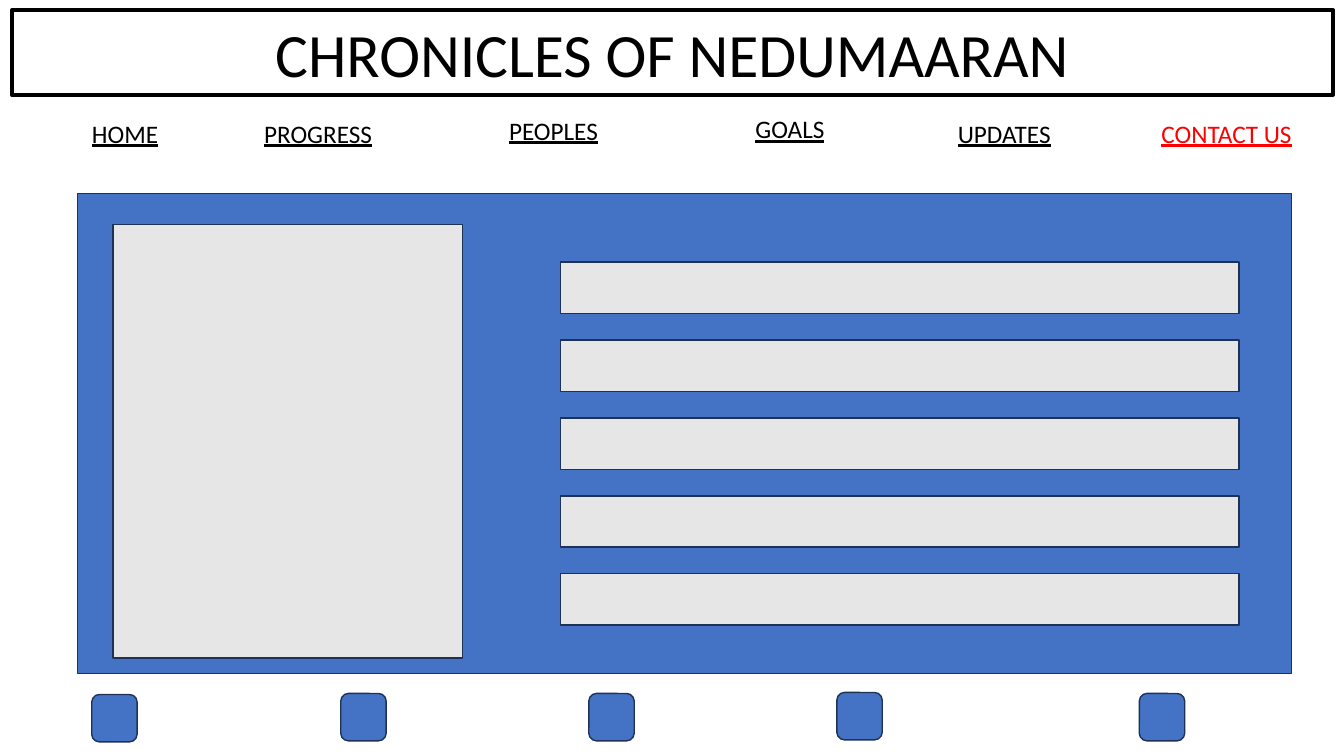
from dataclasses import dataclass

from pptx import Presentation
from pptx.dml.color import RGBColor
from pptx.enum.shapes import MSO_SHAPE
from pptx.enum.text import MSO_ANCHOR, PP_ALIGN
from pptx.shapes.autoshape import Shape
from pptx.slide import Slide
from pptx.util import Inches, Length, Pt

CELL = 0.1
BLACK, RED, BLUE, GREY, NAVY = "000000", "FF0000", "4472C4", "E7E6E6", "1E3256"


@dataclass(frozen=True)
class Box:
    """A place on the grid, in columns and rows."""
    col: float
    row: float
    wide: float
    high: float


@dataclass(frozen=True)
class Link:
    """A menu entry with its place and colour."""
    text: str
    box: Box
    color: str = BLACK


LINKS = [
    Link("HOME", Box(6.5, 11.2, 11.8, 4)),
    Link("PROGRESS", Box(24.8, 11.2, 13.5, 4)),
    Link("PEOPLES", Box(49, 10.9, 11.8, 4)),
    Link("GOALS", Box(71.6, 10.8, 13.5, 4)),
    Link("UPDATES", Box(93.7, 11.2, 11.8, 4)),
    Link("CONTACT US", Box(114.2, 11.2, 14.9, 4), RED),
]
PANELS = [(Box(7.7, 19.2, 120.4, 47.6), BLUE), (Box(11.2, 22.3, 34.7, 43), GREY)]
BARS = [(Box(55.6, 26 + 7.73 * i, 67.3, 5.1), GREY) for i in range(5)]
SPOTS = [(9.1, 68.9), (33.8, 68.8), (58.4, 68.8), (83, 68.7), (113, 68.8)]
BUTTONS = [Box(col, row, 4.5, 4.7) for col, row in SPOTS]


def rgb(code: str) -> RGBColor:
    """Turn a hex string into a colour."""
    return RGBColor.from_string(code)


def place(box: Box) -> list[Length]:
    """Turn grid cells into slide lengths."""
    return [Inches(n * CELL) for n in (box.col, box.row, box.wide, box.high)]


def block(slide: Slide, box: Box, fill: str | None, line: str = NAVY,
          width: float = 1, kind: MSO_SHAPE = MSO_SHAPE.RECTANGLE) -> Shape:
    """Draw an outlined shape, filled if a colour is given."""
    shape = slide.shapes.add_shape(kind, *place(box))
    shape.shadow.inherit = False
    if fill:
        shape.fill.solid()
        shape.fill.fore_color.rgb = rgb(fill)
    else:
        shape.fill.background()
    shape.line.color.rgb = rgb(line)
    shape.line.width = Pt(width)
    return shape


def write(shape: Shape, text: str, size: float, color: str, under: bool = False) -> None:
    """Put one centred line of text in a shape."""
    frame = shape.text_frame
    frame.word_wrap = False
    para = frame.paragraphs[0]
    para.text = text
    para.alignment = PP_ALIGN.CENTER
    font = para.font
    font.name, font.size, font.underline = "Calibri", Pt(size), under
    font.color.rgb = rgb(color)


def main() -> None:
    """Build the slide and save it."""
    deck = Presentation()
    deck.slide_width, deck.slide_height = Inches(13.33), Inches(7.5)
    slide = deck.slides.add_slide(deck.slide_layouts[6])

    title = block(slide, Box(1.2, 1, 131, 8.4), None, BLACK, 3)
    title.text_frame.vertical_anchor = MSO_ANCHOR.MIDDLE
    write(title, "CHRONICLES OF NEDUMAARAN", 44, BLACK)
    for link in LINKS:
        label = slide.shapes.add_textbox(*place(link.box))
        write(label, link.text, 18, link.color, under=True)
    for box, fill in PANELS + BARS:
        block(slide, box, fill)
    for box in BUTTONS:
        block(slide, box, BLUE, kind=MSO_SHAPE.ROUNDED_RECTANGLE)

    deck.save("out.pptx")


if __name__ == "__main__":
    main()
